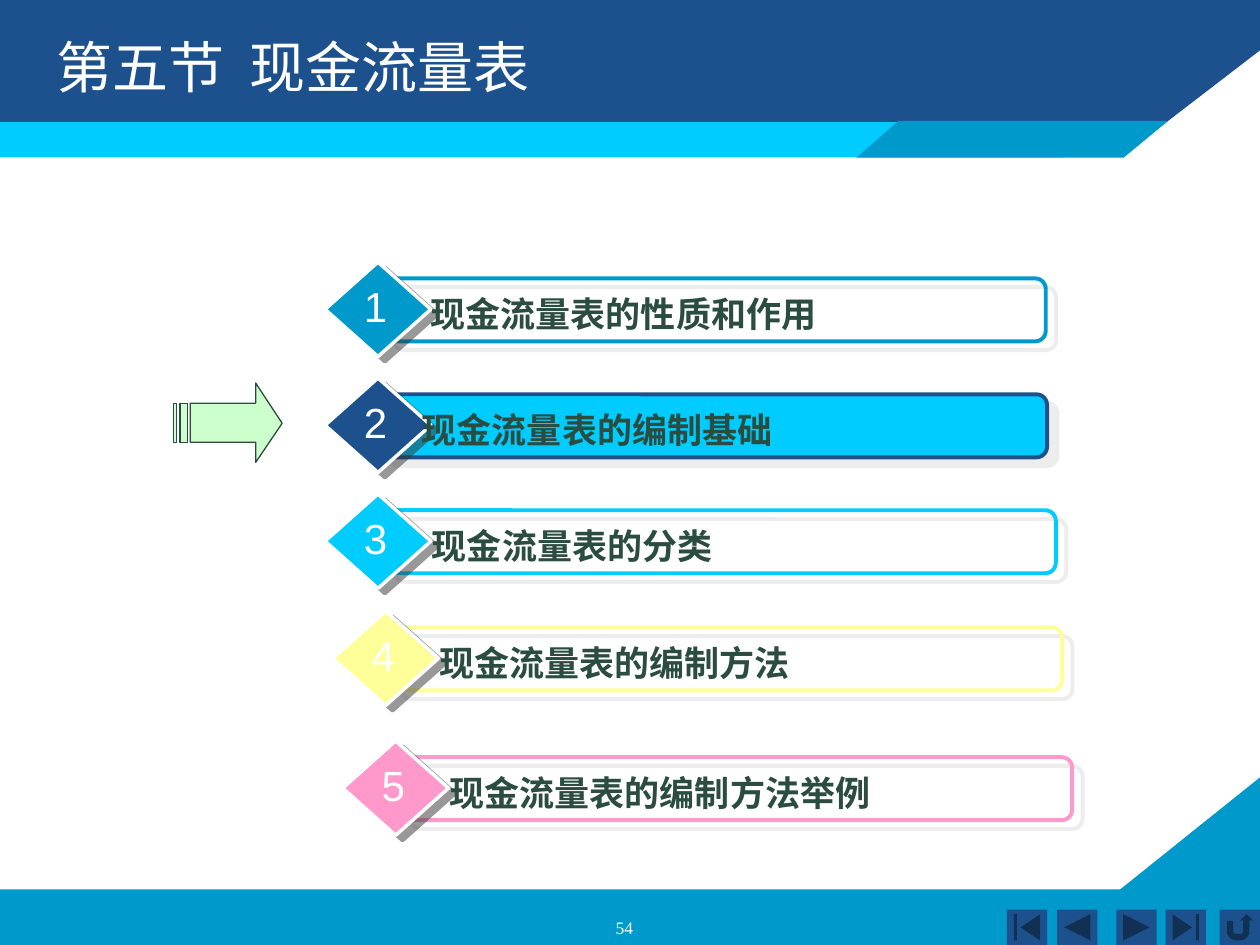
import dataclasses
import typing

import lxml.etree
import pptx
import pptx.dml.color
import pptx.enum.shapes
import pptx.enum.text
import pptx.oxml.ns
import pptx.util

Inches = pptx.util.Inches
ShapeKind = pptx.enum.shapes.MSO_SHAPE
Align = pptx.enum.text.PP_ALIGN
qn = pptx.oxml.ns.qn
Point = typing.Tuple[float, float]


@dataclasses.dataclass(frozen=True)
class Theme:
    navy: str = "1D518D"
    blue: str = "0099CB"
    cyan: str = "00CCFF"
    yellow: str = "FFFF99"
    pink: str = "FF99CC"
    mint: str = "CCFFCC"
    ink: str = "2A4C41"
    white: str = "FFFFFF"
    light_shadow: str = "DDDDDD"
    dark_shadow: str = "333333"
    latin: str = "Arial"
    chinese: str = "Noto Sans CJK SC"
    serif: str = "Times New Roman"
    title_size: float = 32
    number_size: float = 24
    label_size: float = 20
    page_size: float = 10


THEME = Theme()


@dataclasses.dataclass(frozen=True)
class Shadow:
    color: str
    distance: float
    angle: int


@dataclasses.dataclass(frozen=True)
class AgendaRow:
    label: str
    color: str
    left: float
    top: float
    bar_offset: float = 0.46
    bar_width: float = 5.33
    label_offset: float = 0.75
    bar_fill: typing.Optional[str] = None


BAR_SHADOW = Shadow(THEME.light_shadow, 7.8, 40)
DIAMOND_SHADOW = Shadow(THEME.dark_shadow, 5, 37)

ROWS = (
    AgendaRow("现金流量表的性质和作用", THEME.blue, 2.58, 2.08, bar_width=5.26, label_offset=0.74),
    AgendaRow("现金流量表的编制基础", THEME.navy, 2.58, 3.0, 0.42, 5.31, 0.67, THEME.cyan),
    AgendaRow("现金流量表的分类", THEME.cyan, 2.58, 3.92, 0.47),
    AgendaRow("现金流量表的编制方法", THEME.yellow, 2.64, 4.85),
    AgendaRow("现金流量表的编制方法举例", THEME.pink, 2.72, 5.88),
)

BUTTONS = (
    (ShapeKind.ACTION_BUTTON_BEGINNING, 7.99),
    (ShapeKind.ACTION_BUTTON_BACK_OR_PREVIOUS, 8.39),
    (ShapeKind.ACTION_BUTTON_FORWARD_OR_NEXT, 8.86),
    (ShapeKind.ACTION_BUTTON_END, 9.25),
    (ShapeKind.ACTION_BUTTON_RETURN, 9.68),
)


def rgb(color: str) -> pptx.dml.color.RGBColor:
    return pptx.dml.color.RGBColor.from_string(color)


def paint(shape, fill: typing.Optional[str], line: typing.Optional[str] = None,
          width: float = 1, shadow: typing.Optional[Shadow] = None) -> None:
    for target, color in ((shape.fill, fill), (shape.line.fill, line)):
        if color is None:
            target.background()
        else:
            target.solid()
            target.fore_color.rgb = rgb(color)
    if line is not None:
        shape.line.width = pptx.util.Pt(width)
    shape.shadow.inherit = False
    if shadow is not None:
        effects = shape.element.spPr.find(qn("a:effectLst"))
        outer = lxml.etree.SubElement(
            effects, qn("a:outerShdw"), blurRad="0", algn="ctr", rotWithShape="0",
            dist=str(int(pptx.util.Pt(shadow.distance))), dir=str(shadow.angle * 60000))
        color = lxml.etree.SubElement(outer, qn("a:srgbClr"), val=shadow.color)
        lxml.etree.SubElement(color, qn("a:alpha"), val="50000")


def add_preset(shapes, kind, left: float, top: float, width: float, height: float):
    return shapes.add_shape(kind, Inches(left), Inches(top), Inches(width), Inches(height))


def add_outline(shapes, contours: typing.Sequence[typing.Sequence[Point]]):
    scaled = [[(Inches(x), Inches(y)) for x, y in contour] for contour in contours]
    builder = shapes.build_freeform(*scaled[0][0], scale=1.0)
    for index, contour in enumerate(scaled):
        if index:
            builder.move_to(*contour[0])
        builder.add_line_segments(contour[1:], close=True)
    return builder.convert_to_shape()


def add_text(shapes, text: str, left: float, top: float, width: float, height: float,
             size: float, color: str, font: str = THEME.latin, bold: bool = False,
             align=Align.LEFT, wrap: bool = True):
    box = shapes.add_textbox(Inches(left), Inches(top), Inches(width), Inches(height))
    box.text_frame.word_wrap = wrap
    paragraph = box.text_frame.paragraphs[0]
    paragraph.alignment = align
    run = paragraph.add_run()
    run.text = text
    format_run(run, size, color, font, bold)
    return paragraph


def format_run(run, size: float, color: str, font: str, bold: bool = False) -> None:
    values = {"name": font, "size": pptx.util.Pt(size), "bold": bold}
    for name, value in values.items():
        setattr(run.font, name, value)
    run.font.color.rgb = rgb(color)
    latin = run.font._element.find(qn("a:latin"))
    east_asian = lxml.etree.Element(qn("a:ea"), typeface=THEME.chinese)
    latin.addnext(east_asian)


def add_frame(shapes) -> None:
    footer = [(0, 7.06), (8.89, 7.06), (10, 6.17), (10, 7.5), (0, 7.5)]
    header = [(0, 0), (10, 0), (10, 0.4), (8.92, 1.23), (0, 1.24)]
    accent = [(6.8, 1.25), (8.92, 1.25), (9.27, 0.96), (7.13, 0.96)]
    paint(add_outline(shapes, [footer]), THEME.blue)
    paint(add_outline(shapes, [header]), THEME.navy)
    paint(add_preset(shapes, ShapeKind.RECTANGLE, 0, 0.97, 8.44, 0.28), THEME.cyan)
    paint(add_outline(shapes, [accent]), THEME.blue)
    for kind, left in BUTTONS:
        paint(add_preset(shapes, kind, left, 7.22, 0.32, 0.28), THEME.navy)


def add_title(shapes) -> None:
    paragraph = add_text(shapes, "第五节", 0.35, 0.21, 9, 1.25,
                         THEME.title_size, THEME.white, THEME.chinese)
    for text, spacing in ((" ", 700), ("现金流量表", 0)):
        run = paragraph.add_run()
        run.text = text
        format_run(run, THEME.title_size, THEME.white, THEME.chinese)
        run.font._element.set("spc", str(spacing))


def add_agenda_row(shapes, number: int, row: AgendaRow) -> None:
    members = shapes.add_group_shape().shapes
    bar = add_preset(members, ShapeKind.ROUNDED_RECTANGLE,
                     row.left + row.bar_offset, row.top + 0.13, row.bar_width, 0.5)
    paint(bar, row.bar_fill, row.color, 2.25, BAR_SHADOW)
    diamond = add_preset(members, ShapeKind.DIAMOND, row.left, row.top, 0.84, 0.75)
    paint(diamond, row.color, THEME.white, 2, DIAMOND_SHADOW)
    add_text(members, row.label, row.left + row.label_offset, row.top + 0.19, 4.2, 0.44,
             THEME.label_size, THEME.ink, bold=True)
    add_text(members, str(number), row.left + 0.21, row.top + 0.1, 0.38, 0.5,
             THEME.number_size, THEME.white, align=Align.CENTER, wrap=False)


def add_pointer(shapes) -> None:
    arrow = [(1.51, 3.2), (2.03, 3.2), (2.03, 3.04), (2.24, 3.36),
             (2.03, 3.67), (2.03, 3.51), (1.51, 3.51)]
    stripes = [[(left, 3.2), (right, 3.2), (right, 3.51), (left, 3.51)]
               for left, right in ((1.38, 1.4), (1.43, 1.49))]
    paint(add_outline(shapes, [arrow, *stripes]), THEME.mint, THEME.ink, 0.75)


def main() -> None:
    presentation = pptx.Presentation()
    presentation.slide_width = Inches(10)
    presentation.slide_height = Inches(7.5)
    slide = presentation.slides.add_slide(presentation.slide_layouts[6])
    add_frame(slide.shapes)
    add_title(slide.shapes)
    for number, row in enumerate(ROWS, start=1):
        add_agenda_row(slide.shapes, number, row)
    add_pointer(slide.shapes)
    add_text(slide.shapes, "54", 3.79, 7.23, 2.33, 0.18, THEME.page_size,
             THEME.white, THEME.serif, align=Align.CENTER)
    presentation.save("out.pptx")


if __name__ == "__main__":
    main()
